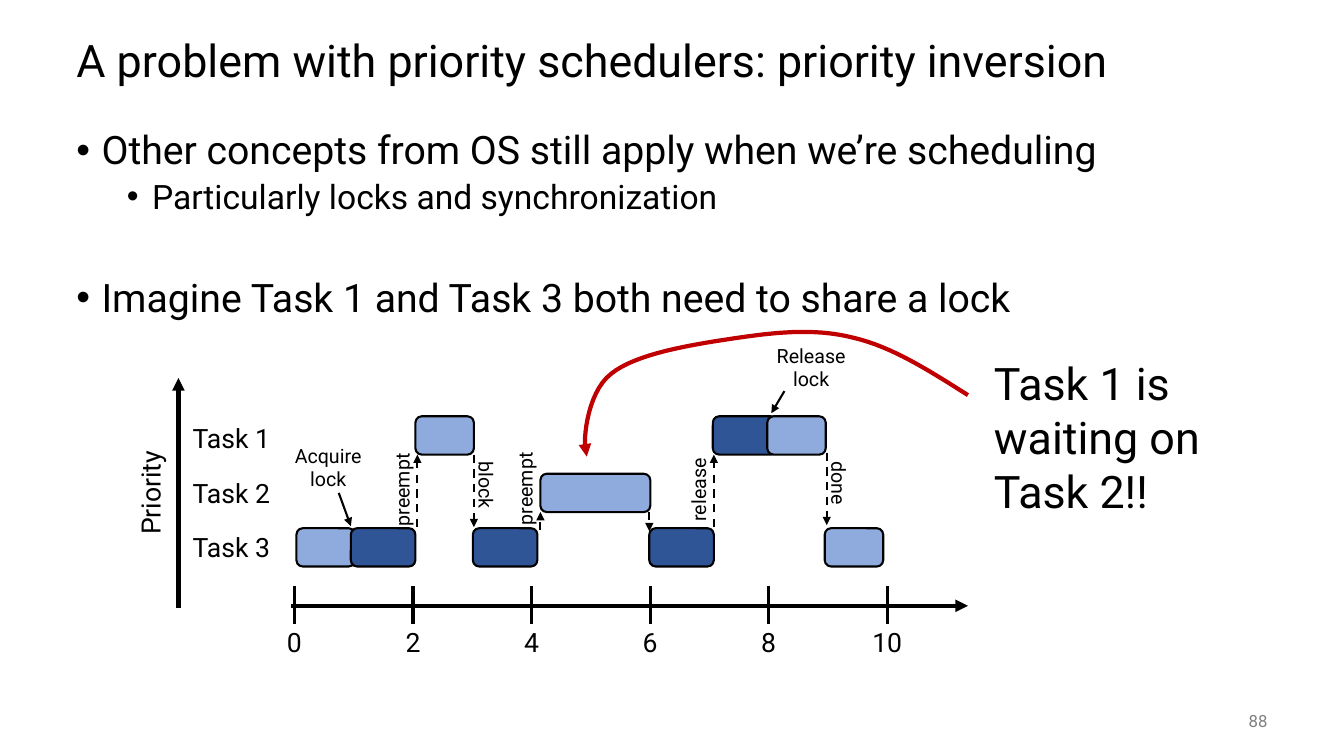
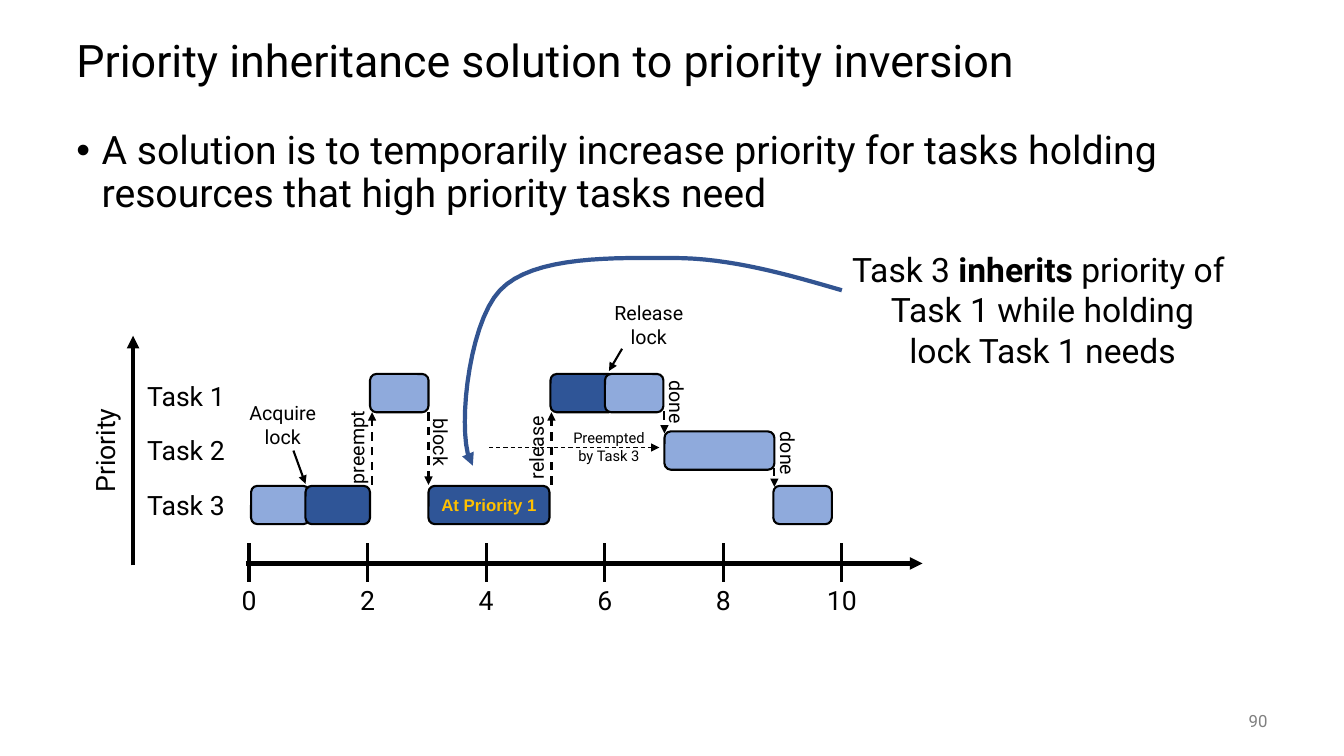
"""Build two slides on priority inversion and priority inheritance."""
from dataclasses import dataclass

from lxml import etree
from pptx import Presentation
from pptx import util as u
from pptx.dml.color import RGBColor
from pptx.enum import dml, shapes, text
from pptx.oxml import ns
from pptx.slide import Slide

BLACK = RGBColor(0x00, 0x00, 0x00)
GRAY = RGBColor(0x80, 0x80, 0x80)
FREE = RGBColor(0x8F, 0xAA, 0xDC)
LOCKED = RGBColor(0x2F, 0x55, 0x97)
GOLD = RGBColor(0xFF, 0xC0, 0x00)
RED = RGBColor(0xC0, 0x00, 0x00)
BLUE = RGBColor(0x32, 0x54, 0x91)
FONT = "Roboto"
CENTER = text.PP_ALIGN.CENTER

FREE_WIDTH, LOCKED_WIDTH, TASK2_WIDTH, BLOCK_HEIGHT = 0.58, 0.64, 1.09, 0.38
ROW_TOP = {1: -1.88, 2: -1.31, 3: -0.77}
ROW1_EDGE, ROW3_EDGE = -1.5, -0.78
TICK_COUNT = 6
TICK_GAP = 5.88 / (TICK_COUNT - 1)
TASK_LABEL_GAP = 0.54
CURVE_STEPS = 16


def format_runs(paragraph, size, color=BLACK, font=FONT, bold=None):
    for run in paragraph.runs:
        run.font.size = u.Pt(size)
        run.font.name = font
        run.font.color.rgb = color
        run.font.bold = bold


def add_text(slide, left, top, width, height, content, size, align=CENTER,
             color=BLACK, anchor=text.MSO_ANCHOR.TOP, rotation=0):
    box = slide.shapes.add_textbox(*map(u.Inches, (left, top, width, height)))
    box.rotation = rotation
    frame = box.text_frame
    frame.word_wrap = True
    frame.vertical_anchor = anchor
    frame.text = content
    paragraph = frame.paragraphs[0]
    paragraph.alignment = align
    format_runs(paragraph, size, color)
    return paragraph


def add_bullets(slide, items):
    box = slide.shapes.add_textbox(*map(u.Inches, (0.66, 1.25, 12, 5.5)))
    frame = box.text_frame
    frame.word_wrap = True
    frame.text = "\n".join(content for content, _, _ in items)
    for paragraph, (_, level, space) in zip(frame.paragraphs, items):
        properties = paragraph._p.get_or_add_pPr()
        properties.set("marL", str(u.Inches(0.25 + 0.5 * level)))
        properties.set("indent", str(u.Inches(-0.25)))
        etree.SubElement(properties, ns.qn("a:buFont"), typeface="Arial")
        etree.SubElement(properties, ns.qn("a:buChar"), char="•")
        paragraph.level = level
        paragraph.line_spacing = 0.9
        paragraph.space_before = u.Pt(space)
        format_runs(paragraph, 28 - 4 * level)


def add_slide(presentation, title, number):
    slide = presentation.slides.add_slide(presentation.slide_layouts[6])
    middle = text.MSO_ANCHOR.MIDDLE
    heading = add_text(slide, 0.66, 0.25, 12, 0.75, title, 32,
                       text.PP_ALIGN.LEFT, anchor=middle)
    heading.line_spacing = 0.9
    add_text(slide, 11.67, 6.95, 1, 0.4, number, 12,
             text.PP_ALIGN.RIGHT, GRAY, middle)
    return slide


def style_line(line, width, color=BLACK, dashed=False, arrow=False):
    line.color.rgb = color
    line.width = u.Pt(width)
    if dashed:
        line.dash_style = dml.MSO_LINE.DASH
    if arrow:
        etree.SubElement(line._get_or_add_ln(), ns.qn("a:tailEnd"), type="triangle")


def bezier_point(points, t):
    weights = ((1 - t) ** 3, 3 * t * (1 - t) ** 2, 3 * t ** 2 * (1 - t), t ** 3)
    return tuple(u.Inches(sum(w * point[axis] for w, point in zip(weights, points)))
                 for axis in (0, 1))


def add_curved_arrow(slide, points, color):
    vertices = [bezier_point(points[first:first + 4], step / CURVE_STEPS)
                for first in range(0, len(points) - 1, 3)
                for step in range(1, CURVE_STEPS + 1)]
    builder = slide.shapes.build_freeform(*map(u.Inches, points[0]), scale=1.0)
    builder.add_line_segments(vertices, close=False)
    curve = builder.convert_to_shape()
    curve.shadow.inherit = False
    curve.fill.background()
    style_line(curve.line, 3, color, arrow=True)


@dataclass
class Timeline:
    """Schedule chart whose positions are measured from time zero on the axis."""
    slide: Slide
    left: float
    axis: float

    def line(self, x1, y1, x2, y2, width=1.5, dashed=False, arrow=True):
        connector = self.slide.shapes.add_connector(
            shapes.MSO_CONNECTOR.STRAIGHT,
            u.Inches(self.left + x1), u.Inches(self.axis + y1),
            u.Inches(self.left + x2), u.Inches(self.axis + y2))
        style_line(connector.line, width, BLACK, dashed, arrow)
        etree.SubElement(connector._element.spPr, ns.qn("a:effectLst"))

    def switch(self, x, start, end):
        self.line(x, start, x, end, dashed=True)

    def label(self, content, x, y, width, height, size):
        add_text(self.slide, self.left + x, self.axis + y, width, height, content, size)

    def vertical_label(self, content, center_x, center_y, rotation,
                       width=0.94, height=0.34, size=14):
        add_text(self.slide, self.left + center_x - width / 2,
                 self.axis + center_y - height / 2, width, height,
                 content, size, rotation=rotation)

    def block(self, task, x, width, color):
        shape = self.slide.shapes.add_shape(
            shapes.MSO_SHAPE.ROUNDED_RECTANGLE,
            u.Inches(self.left + x), u.Inches(self.axis + ROW_TOP[task]),
            u.Inches(width), u.Inches(BLOCK_HEIGHT))
        shape.shadow.inherit = False
        shape.fill.solid()
        shape.fill.fore_color.rgb = color
        style_line(shape.line, 1.5)
        return shape

    def free(self, task, x):
        self.block(task, x, FREE_WIDTH, FREE)

    def locked(self, task, x):
        self.block(task, x, LOCKED_WIDTH, LOCKED)

    def draw_axes(self):
        self.line(-0.03, 0, 6.68, 0, 3)
        for index in range(TICK_COUNT):
            x = index * TICK_GAP
            self.line(x, -0.2, x, 0.18, 2.25, arrow=False)
            self.label(str(2 * index), x - 0.29, 0.15, 0.58, 0.42, 19)
        for task in ROW_TOP:
            y = -1.87 + (task - 1) * TASK_LABEL_GAP
            self.label(f"Task {task}", -1.11, y, 0.97, 0.42, 19)
        self.line(-1.15, 0.02, -1.15, -2.26, 3)
        self.vertical_label("Priority", -1.43, -1.12, 270, 1.14, 0.42, 19)

    def draw_opening(self):
        self.free(3, 0.02)
        self.locked(3, 0.56)
        self.label("Acquire lock", -0.12, -1.66, 0.91, 0.57, 14)
        self.line(0.44, -1.12, 0.56, -0.79)
        self.vertical_label("preempt", 1.07, -1.15, 270)
        self.switch(1.22, ROW3_EDGE, ROW1_EDGE)
        self.free(1, 1.2)
        self.vertical_label("block", 1.9, -1.2, 90)
        self.switch(1.78, ROW1_EDGE, ROW3_EDGE)

    def draw_release(self, x):
        self.vertical_label("release", x - 0.14, -1.15, 270)
        self.switch(x + 0.01, ROW3_EDGE, ROW1_EDGE)
        self.locked(1, x)
        self.free(1, x + 0.54)
        self.label("Release lock", x + 0.52, -2.65, 0.91, 0.57, 14)
        self.line(x + 0.71, -2.13, x + 0.58, -1.91)


def start_timeline(slide, left, axis):
    timeline = Timeline(slide, left, axis)
    timeline.draw_axes()
    timeline.draw_opening()
    return timeline


def build_inversion(presentation):
    slide = add_slide(presentation,
                      "A problem with priority schedulers: priority inversion", "88")
    add_bullets(slide, [
        ("Other concepts from OS still apply when we’re scheduling", 0, 0),
        ("Particularly locks and synchronization", 1, 5),
        ("Imagine Task 1 and Task 3 both need to share a lock", 0, 44),
    ])
    timeline = start_timeline(slide, 2.92, 6.01)
    timeline.locked(3, 1.77)
    timeline.vertical_label("preempt", 2.29, -1.16, 270)
    timeline.switch(2.44, -0.75, -0.93)
    timeline.block(2, 2.44, TASK2_WIDTH, FREE)
    timeline.switch(3.52, -0.93, -0.74)
    timeline.locked(3, 3.52)
    timeline.draw_release(4.15)
    timeline.vertical_label("done", 5.4, -1.22, 90)
    timeline.switch(5.28, -1.52, -0.8)
    timeline.free(3, 5.26)
    add_text(slide, 9.76, 3.48, 2.29, 1.72, "Task 1 is waiting on Task 2!!", 32,
             text.PP_ALIGN.LEFT)
    add_curved_arrow(slide, [
        (9.6, 3.92), (9.22, 3.68), (8.85, 3.44), (8.46, 3.35), (8.07, 3.25),
        (7.66, 3.3), (7.26, 3.36), (6.86, 3.42), (6.3, 3.51), (6.06, 3.71),
        (5.81, 3.9), (5.77, 4.44), (5.82, 4.53)], RED)


def add_inheritance_note(slide):
    paragraph = add_text(slide, 8.19, 2.42, 4.3, 1.31, "Task 3 ", 24)
    emphasis = paragraph.add_run()
    emphasis.text = "inherits"
    paragraph.add_run().text = " priority of "
    for content in ("Task 1 while holding", "lock Task 1 needs"):
        paragraph.add_line_break()
        paragraph.add_run().text = content
    format_runs(paragraph, 24)
    emphasis.font.bold = True


def build_inheritance(presentation):
    slide = add_slide(presentation,
                      "Priority inheritance solution to priority inversion", "90")
    add_bullets(slide, [
        ("A solution is to temporarily increase priority for tasks holding "
         "resources that high priority tasks need", 0, 0),
    ])
    timeline = start_timeline(slide, 2.47, 5.59)
    raised = timeline.block(3, 1.78, 1.2, LOCKED)
    raised.text_frame.text = "At Priority 1"
    raised.text_frame.vertical_anchor = text.MSO_ANCHOR.MIDDLE
    raised.text_frame.paragraphs[0].alignment = CENTER
    format_runs(raised.text_frame.paragraphs[0], 12, GOLD, "Arial", True)
    timeline.label("Preempted by Task 3", 3.04, -1.38, 1.06, 0.47, 10.5)
    timeline.line(2.38, -1.15, 4.07, -1.15, 0.75, dashed=True)
    timeline.draw_release(2.99)
    timeline.vertical_label("done", 4.24, -1.6, 90)
    timeline.block(2, 4.12, TASK2_WIDTH, FREE)
    timeline.switch(4.12, -1.51, -1.29)
    timeline.vertical_label("done", 5.34, -1.09, 90)
    timeline.free(3, 5.2)
    timeline.switch(5.21, -0.95, -0.76)
    add_inheritance_note(slide)
    add_curved_arrow(slide, [
        (8.35, 2.88), (7.8, 2.72), (7.24, 2.56), (6.68, 2.56), (6.11, 2.56),
        (5.29, 2.53), (4.96, 2.88), (4.63, 3.22), (4.52, 4.4), (4.69, 4.62)], BLUE)


def main():
    presentation = Presentation()
    presentation.slide_width = u.Inches(13.33)
    presentation.slide_height = u.Inches(7.5)
    build_inversion(presentation)
    build_inheritance(presentation)
    presentation.save("out.pptx")


if __name__ == "__main__":
    main()
